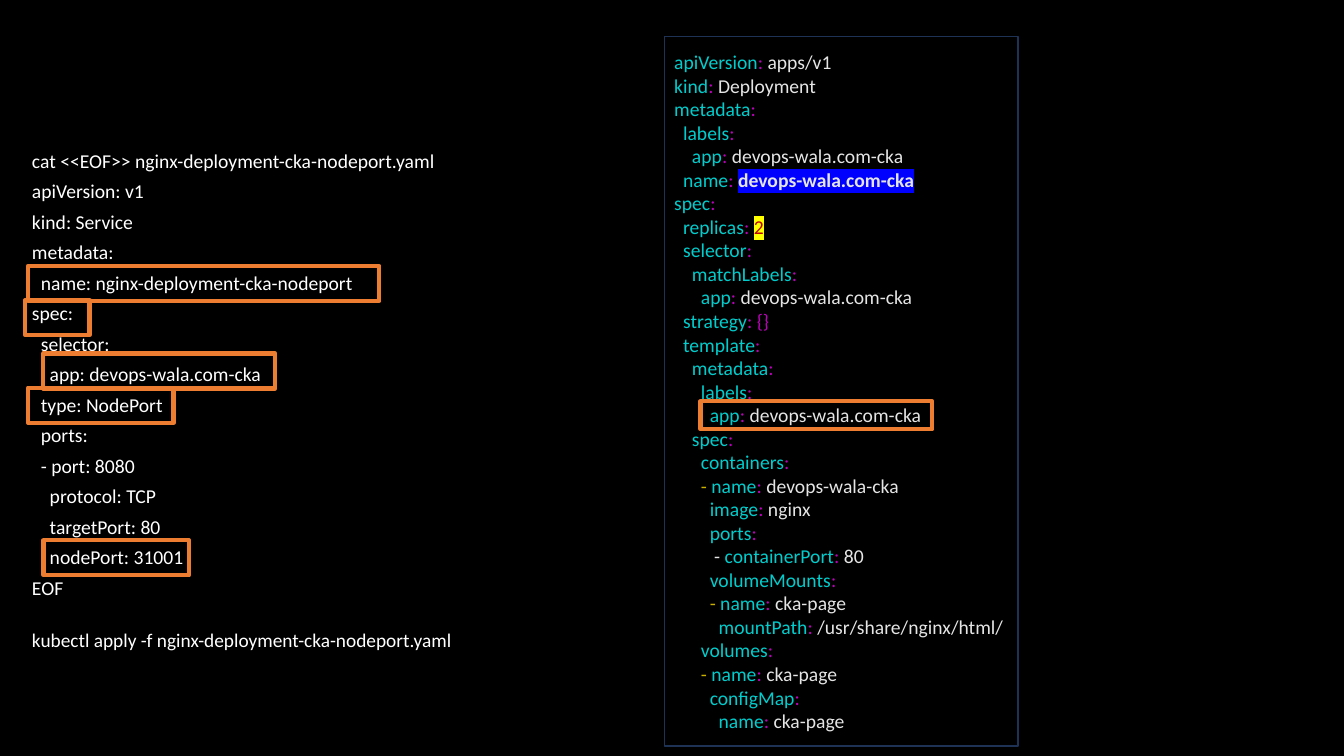
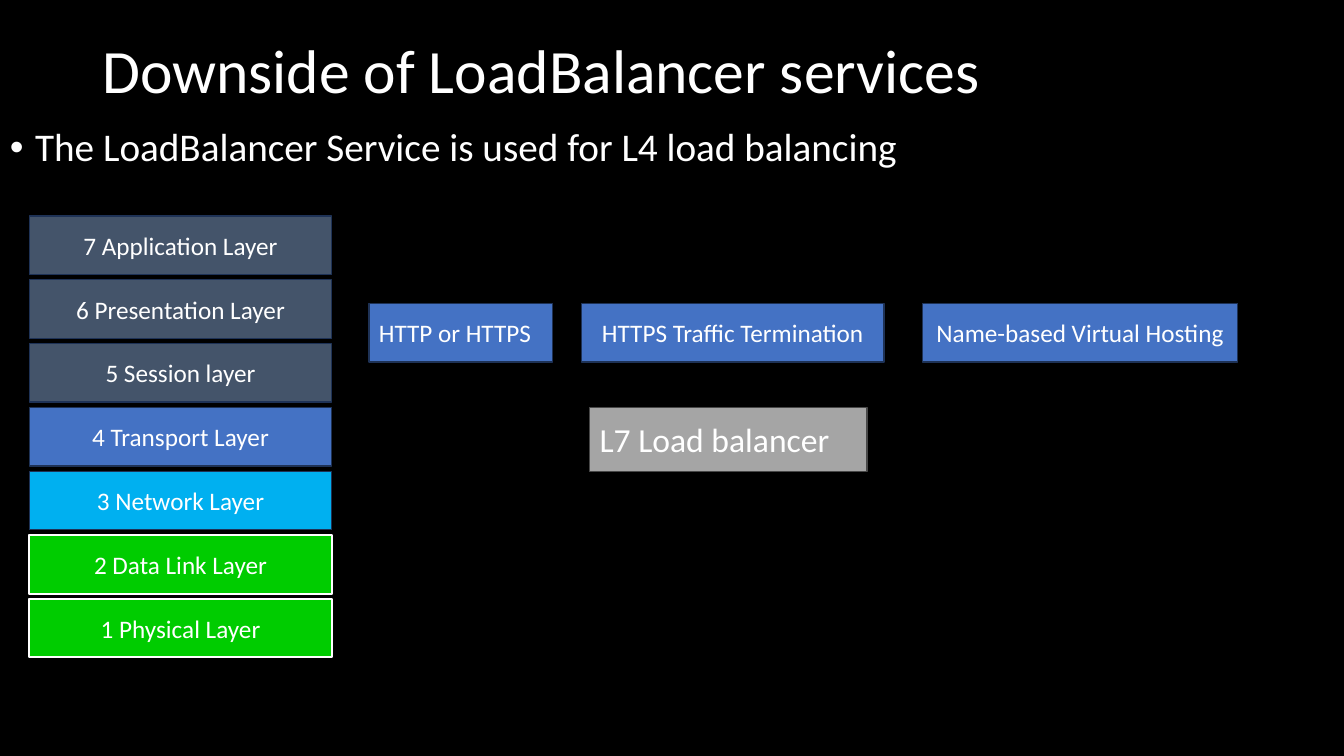
from dataclasses import dataclass
from typing import NamedTuple, Optional

from lxml.etree import SubElement
from pptx import Presentation
from pptx.dml.color import RGBColor as Rgb
from pptx.enum.shapes import MSO_SHAPE as Preset
from pptx.enum.text import MSO_ANCHOR as Anchor, PP_ALIGN as Align
from pptx.oxml.ns import qn
from pptx.util import Pt


@dataclass(frozen=True)
class Theme:
    font: str = "Calibri"
    background: str = "000000"
    text: str = "FFFFFF"
    accent: str = "ED7D31"
    outline: str = "1E3256"
    blue: str = "4472C4"
    slate: str = "44546A"
    sky: str = "00B0F0"
    green: str = "00CC00"
    gray: str = "A5A5A5"
    gray_outline: str = "484848"
    key: str = "00CDCD"
    mark: str = "BB00BB"
    value: str = "E5E5E5"
    dash: str = "C8AF00"
    number: str = "BB0000"
    blue_highlight: str = "0000FF"
    yellow_highlight: str = "FFFF00"
    title_size: float = 44
    bullet_size: float = 28
    balancer_size: float = 24
    label_size: float = 18
    code_size: float = 14
    command_size: float = 13.8


THEME = Theme()


class Area(NamedTuple):
    left: float
    top: float
    width: float
    height: float


class Span(NamedTuple):
    text: str
    color: str = THEME.text
    size: float = THEME.code_size
    bold: bool = False
    highlight: Optional[str] = None


class Card(NamedTuple):
    area: Area
    text: str
    fill: str
    outline: str = THEME.outline
    outline_width: float = 1
    size: float = THEME.label_size
    align: Align = Align.CENTER


SERVICE_LINES = """cat <<EOF>> nginx-deployment-cka-nodeport.yaml
apiVersion: v1
kind: Service
metadata:
  name: nginx-deployment-cka-nodeport
spec:
  selector:
    app: devops-wala.com-cka
  type: NodePort
  ports:
  - port: 8080
    protocol: TCP
    targetPort: 80
    nodePort: 31001
EOF""".splitlines()
APPLY_COMMAND = "kubectl apply -f nginx-deployment-cka-nodeport.yaml"

DEPLOYMENT_LINES = """apiVersion: apps/v1
kind: Deployment
metadata:
  labels:
    app: devops-wala.com-cka
  name: devops-wala.com-cka
spec:
  replicas: 2
  selector:
    matchLabels:
      app: devops-wala.com-cka
  strategy: {}
  template:
    metadata:
      labels:
        app: devops-wala.com-cka
    spec:
      containers:
      - name: devops-wala-cka
        image: nginx
        ports:
         - containerPort: 80
        volumeMounts:
        - name: cka-page
          mountPath: /usr/share/nginx/html/
      volumes:
      - name: cka-page
        configMap:
          name: cka-page""".splitlines()

SPECIAL_VALUES = {
    "  name: devops-wala.com-cka": Span(
        "devops-wala.com-cka", THEME.value, bold=True, highlight=THEME.blue_highlight),
    "  replicas: 2": Span("2", THEME.number, highlight=THEME.yellow_highlight),
    "  strategy: {}": Span("{}", THEME.mark),
}

SERVICE_FRAMES = [
    Area(20, 190, 251, 25),
    Area(18, 214.5, 46, 25),
    Area(20, 277, 104, 25),
    Area(31, 386, 104, 25),
    Area(31, 252.5, 165.6, 25),
]
POD_LABEL_FRAME = Area(500.4, 286.6, 165.6, 20)

LAYERS = [
    ("7 Application Layer", THEME.slate),
    ("6 Presentation Layer", THEME.slate),
    ("5 Session layer", THEME.slate),
    ("4 Transport Layer", THEME.blue),
    ("3 Network Layer", THEME.sky),
    ("2 Data Link Layer", THEME.green),
    ("1 Physical Layer", THEME.green),
]
LAYER_TOP = 154.2
LAYER_PITCH = 45.6
CARD_HEIGHT = 41.8

FEATURES = [
    Card(Area(415.4, 216.7, 216, CARD_HEIGHT), "HTTPS Traffic Termination", THEME.blue),
    Card(Area(263.5, 216.7, 131, CARD_HEIGHT), "HTTP or HTTPS", THEME.blue, align=Align.LEFT),
    Card(Area(658.8, 216.7, 225.4, CARD_HEIGHT), "Name-based Virtual Hosting", THEME.blue),
]
BALANCER = Card(Area(421.2, 290.9, 198, 46), "L7 Load balancer", THEME.gray,
                THEME.gray_outline, size=THEME.balancer_size, align=Align.LEFT)


def add_span(paragraph, span: Span) -> None:
    run = paragraph.add_run()
    run.text = span.text
    run.font.size = Pt(span.size)
    run.font.bold = span.bold
    run.font.color.rgb = Rgb.from_string(span.color)
    if span.highlight:
        highlight = SubElement(run._r.get_or_add_rPr(), qn("a:highlight"))
        SubElement(highlight, qn("a:srgbClr")).set("val", span.highlight)
    run.font.name = THEME.font


def next_paragraph(frame, index: int):
    return frame.paragraphs[0] if index == 0 else frame.add_paragraph()


def add_text_area(slide, area: Area, anchor: Anchor = Anchor.TOP):
    frame = slide.shapes.add_textbox(*map(Pt, area)).text_frame
    frame.word_wrap = True
    frame.vertical_anchor = anchor
    return frame


def add_rectangle(slide, area: Area, outline: str, width: float, fill: Optional[str] = None):
    rectangle = slide.shapes.add_shape(Preset.RECTANGLE, *map(Pt, area))
    rectangle.shadow.inherit = False
    if fill:
        rectangle.fill.solid()
        rectangle.fill.fore_color.rgb = Rgb.from_string(fill)
    else:
        rectangle.fill.background()
    rectangle.line.color.rgb = Rgb.from_string(outline)
    rectangle.line.width = Pt(width)
    return rectangle


def add_frame(slide, area: Area) -> None:
    add_rectangle(slide, area, THEME.accent, 3)


def add_card(slide, card: Card) -> None:
    frame = add_rectangle(slide, card.area, card.outline, card.outline_width, card.fill).text_frame
    frame.word_wrap = True
    frame.vertical_anchor = Anchor.MIDDLE
    label = frame.paragraphs[0]
    label.alignment = card.align
    add_span(label, Span(card.text, size=card.size))


def yaml_spans(line: str) -> list[Span]:
    entry = line.lstrip()
    spans = [Span(line[:len(line) - len(entry)], THEME.value)]
    if entry.startswith("- "):
        entry = entry[2:]
        dash_color = THEME.value if entry.startswith("containerPort") else THEME.dash
        spans.append(Span("- ", dash_color))
    key, _, value = entry.partition(": ")
    spans.append(Span(key.rstrip(":"), THEME.key))
    spans.append(Span(": " if value else ":", THEME.mark))
    spans.append(SPECIAL_VALUES.get(line, Span(value, THEME.value)))
    return [span for span in spans if span.text]


def new_slide(deck):
    slide = deck.slides.add_slide(deck.slide_layouts[6])
    slide.background.fill.solid()
    slide.background.fill.fore_color.rgb = Rgb.from_string(THEME.background)
    return slide


def build_manifests(deck) -> None:
    slide = new_slide(deck)
    service = add_text_area(slide, Area(15.8, 107.3, 354, 425.5))
    commands = [Span(line) for line in SERVICE_LINES]
    commands.append(Span(APPLY_COMMAND, size=THEME.command_size))
    for index, command in enumerate(commands):
        paragraph = next_paragraph(service, index)
        paragraph.line_spacing = 0.7
        if index:
            paragraph.space_before = Pt(26 if command.text == APPLY_COMMAND else 10)
        add_span(paragraph, command)
    for area in SERVICE_FRAMES:
        add_frame(slide, area)

    deployment = add_rectangle(slide, Area(474.5, 26, 252.7, 507), THEME.outline, 1).text_frame
    deployment.word_wrap = True
    deployment.vertical_anchor = Anchor.MIDDLE
    for index, line in enumerate(DEPLOYMENT_LINES):
        paragraph = next_paragraph(deployment, index)
        paragraph.alignment = Align.LEFT
        for span in yaml_spans(line):
            add_span(paragraph, span)
    add_frame(slide, POD_LABEL_FRAME)


def build_downside(deck) -> None:
    slide = new_slide(deck)
    title = add_text_area(slide, Area(66, 0, 828, 104.4), Anchor.MIDDLE).paragraphs[0]
    title.line_spacing = 0.9
    add_span(title, Span("Downside of LoadBalancer services", size=THEME.title_size))

    point = add_text_area(slide, Area(0, 87.8, 960, 398)).paragraphs[0]
    properties = point._p.get_or_add_pPr()
    properties.set("marL", str(Pt(18)))
    properties.set("indent", str(-Pt(18)))
    SubElement(properties, qn("a:buFont")).set("typeface", "Arial")
    SubElement(properties, qn("a:buChar")).set("char", "•")
    point.line_spacing = 0.9
    add_span(point, Span("The LoadBalancer Service is used for L4 load balancing",
                         size=THEME.bullet_size))

    for feature in FEATURES:
        add_card(slide, feature)
    for row, (name, fill) in enumerate(LAYERS):
        area = Area(21, LAYER_TOP + row * LAYER_PITCH, 216, CARD_HEIGHT)
        outline, width = (THEME.text, 1.5) if fill == THEME.green else (THEME.outline, 1)
        add_card(slide, Card(area, name, fill, outline, width))
    add_card(slide, BALANCER)


def main() -> None:
    deck = Presentation()
    deck.slide_width, deck.slide_height = Pt(960), Pt(540)
    build_manifests(deck)
    build_downside(deck)
    deck.save("out.pptx")


if __name__ == "__main__":
    main()
